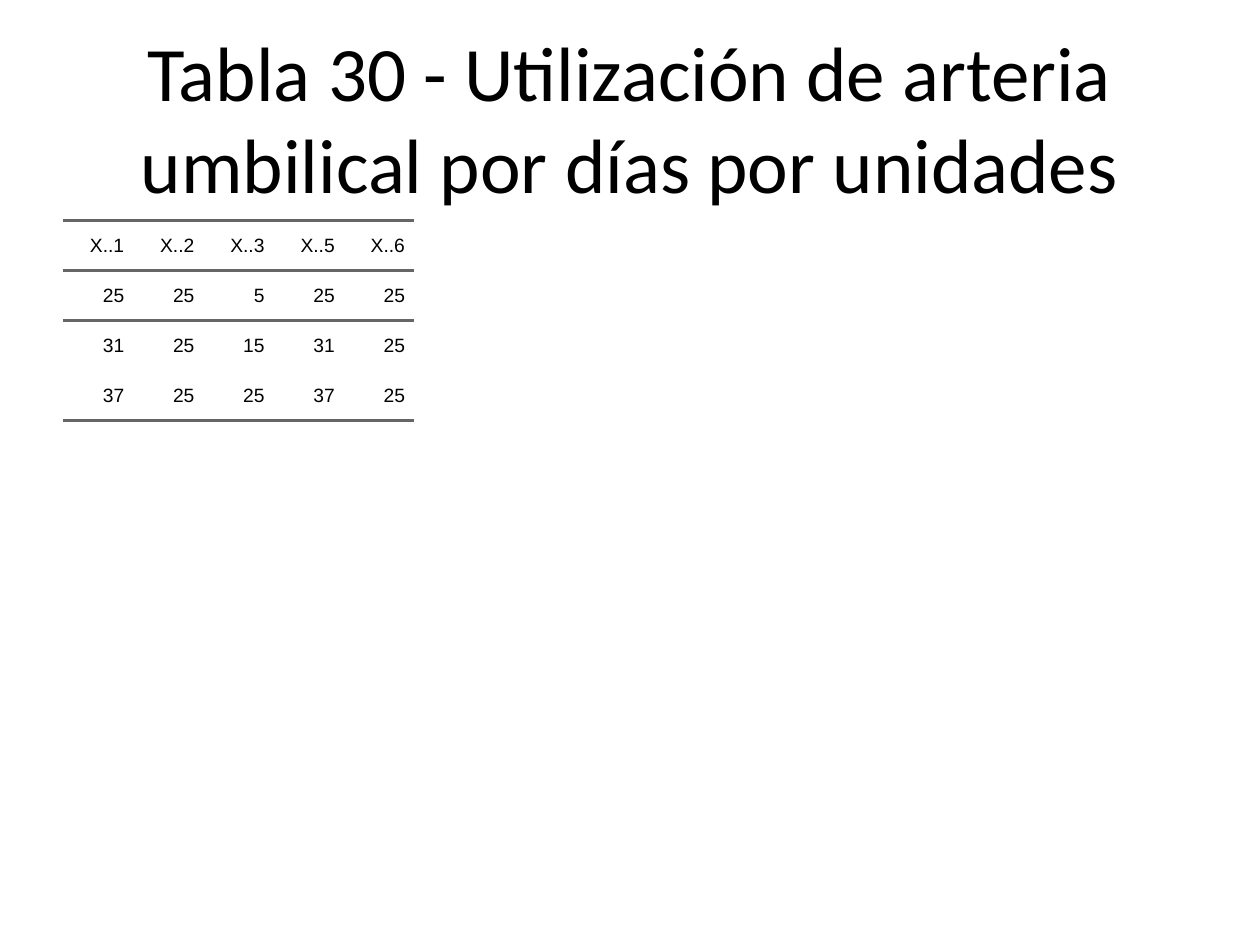
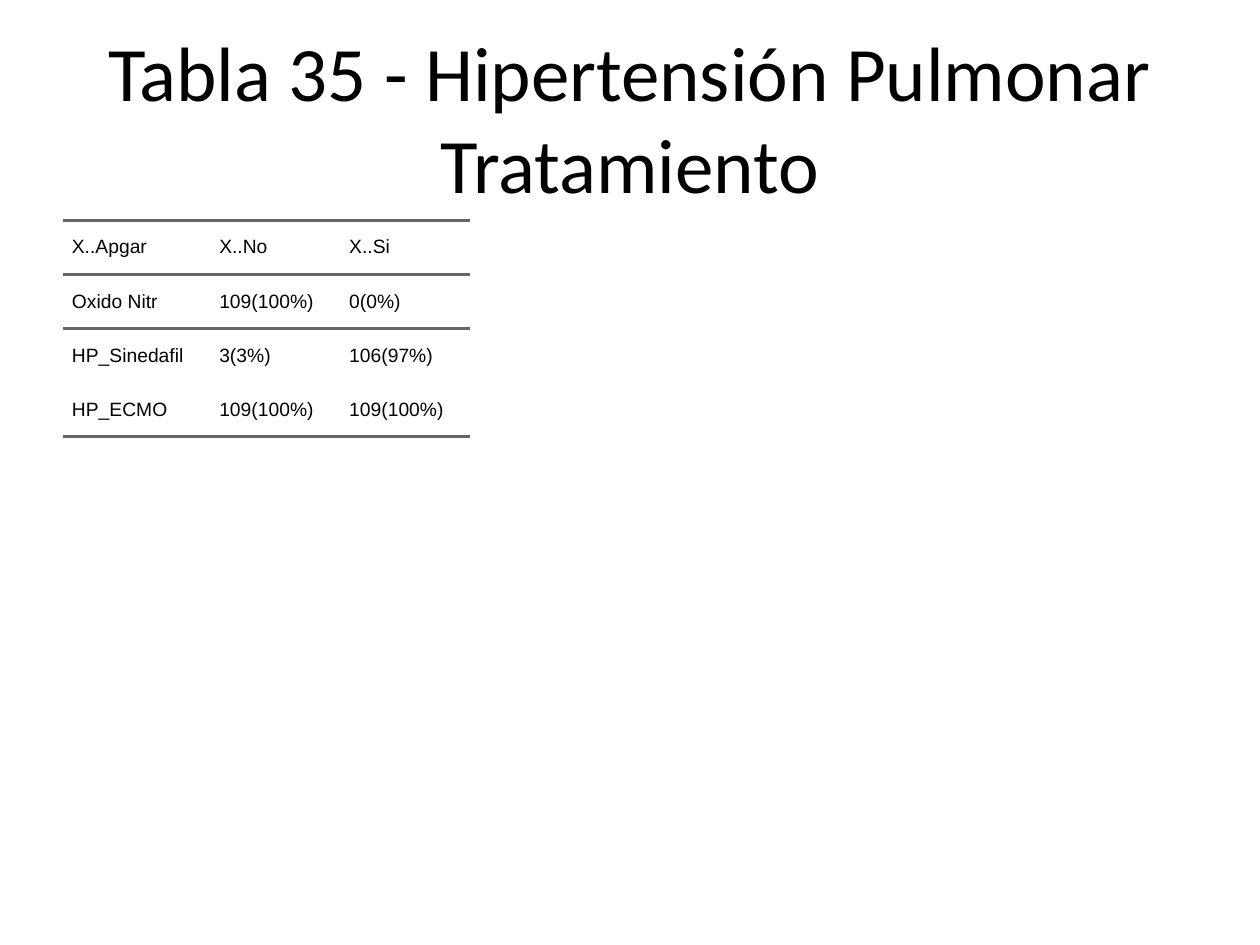
from lxml.etree import SubElement
from pptx import Presentation
from pptx.dml.color import RGBColor
from pptx.enum.text import MSO_ANCHOR, PP_ALIGN
from pptx.oxml.ns import qn
from pptx.util import Cm, Pt

BLACK = "000000"
RULE = "666666"
NO_STYLE = "{2D5ABB26-0587-4C30-8999-92F81FD0307C}"
TITLE_BOX = (1.27, 0.76, 22.86, 3.18)
TABLE_LEFT, TABLE_TOP = 1.27, 4.44


def color(value):
    """Turn a hex string into a colour."""
    return RGBColor.from_string(value)


def write(tf, text, font="Arial", size=11, align=PP_ALIGN.LEFT, space=0, indent=0):
    """Write one formatted paragraph into a text frame."""
    p = tf.paragraphs[0]
    p.alignment = align
    if space:
        p.space_before = p.space_after = Pt(space)
    if indent:
        pPr = p._p.get_or_add_pPr()
        for side in ("marL", "marR"):
            pPr.set(side, str(Cm(indent)))
    r = p.add_run()
    r.text = text
    r.font.name, r.font.size = font, Pt(size)
    r.font.color.rgb = color(BLACK)


def add_title(s, text, box):
    """Add the centred slide title inside the box."""
    sp = s.shapes.add_textbox(*map(Cm, box))
    tf = sp.text_frame
    tf.word_wrap = True
    tf.vertical_anchor = MSO_ANCHOR.MIDDLE
    write(tf, text, font="Calibri", size=44, align=PP_ALIGN.CENTER)


def add_rule(cell, side):
    """Draw a horizontal rule on the top or bottom of a cell."""
    ln = SubElement(cell._tc.get_or_add_tcPr(), qn(f"a:ln{side}"), w=str(Pt(2)))
    fill = SubElement(ln, qn("a:solidFill"))
    SubElement(fill, qn("a:srgbClr"), val=RULE)


def add_ruled_table(s, rows, left, top, widths, height, align):
    """Add a table ruled above and below its header and under its last row."""
    sp = s.shapes.add_table(len(rows), len(widths), Cm(left), Cm(top),
                            Cm(sum(widths)), Cm(height * len(rows)))
    table = sp.table
    table.first_row = table.horz_banding = False
    next(sp.element.iter(qn("a:tableStyleId"))).text = NO_STYLE
    for column, width in zip(table.columns, widths):
        column.width = Cm(width)
    for i, values in enumerate(rows):
        table.rows[i].height = Cm(height)
        for j, value in enumerate(values):
            cell = table.cell(i, j)
            cell.margin_left = cell.margin_right = 0
            cell.margin_top = cell.margin_bottom = 0
            cell.vertical_anchor = MSO_ANCHOR.MIDDLE
            if i in (0, 1):
                add_rule(cell, "T")
            if i in (0, len(rows) - 1):
                add_rule(cell, "B")
            cell.fill.background()
            write(cell.text_frame, value, align=align, space=5, indent=0.18)


def add_table_slide(prs, title, rows, widths, height, align=PP_ALIGN.LEFT):
    """Add a slide with a title and a ruled table."""
    s = prs.slides.add_slide(prs.slide_layouts[6])
    add_title(s, title, TITLE_BOX)
    add_ruled_table(s, rows, TABLE_LEFT, TABLE_TOP, widths, height, align)


def main():
    """Build and save the presentation."""
    prs = Presentation()
    prs.slide_width, prs.slide_height = Cm(25.4), Cm(19.05)
    add_table_slide(
        prs, "Tabla 30 - Utilización de arteria umbilical por días por unidades",
        [("X..1", "X..2", "X..3", "X..5", "X..6"),
         ("25", "25", "5", "25", "25"),
         ("31", "25", "15", "31", "25"),
         ("37", "25", "25", "37", "25")],
        widths=[1.415] * 5, height=1.01, align=PP_ALIGN.RIGHT)
    add_table_slide(
        prs, "Tabla 35 - Hipertensión Pulmonar Tratamiento",
        [("X..Apgar", "X..No", "X..Si"),
         ("Oxido Nitr", "109(100%)", "0(0%)"),
         ("HP_Sinedafil", "3(3%)", "106(97%)"),
         ("HP_ECMO", "109(100%)", "109(100%)")],
        widths=[2.97, 2.62, 2.62], height=1.09)
    prs.save("out.pptx")


if __name__ == "__main__":
    main()
